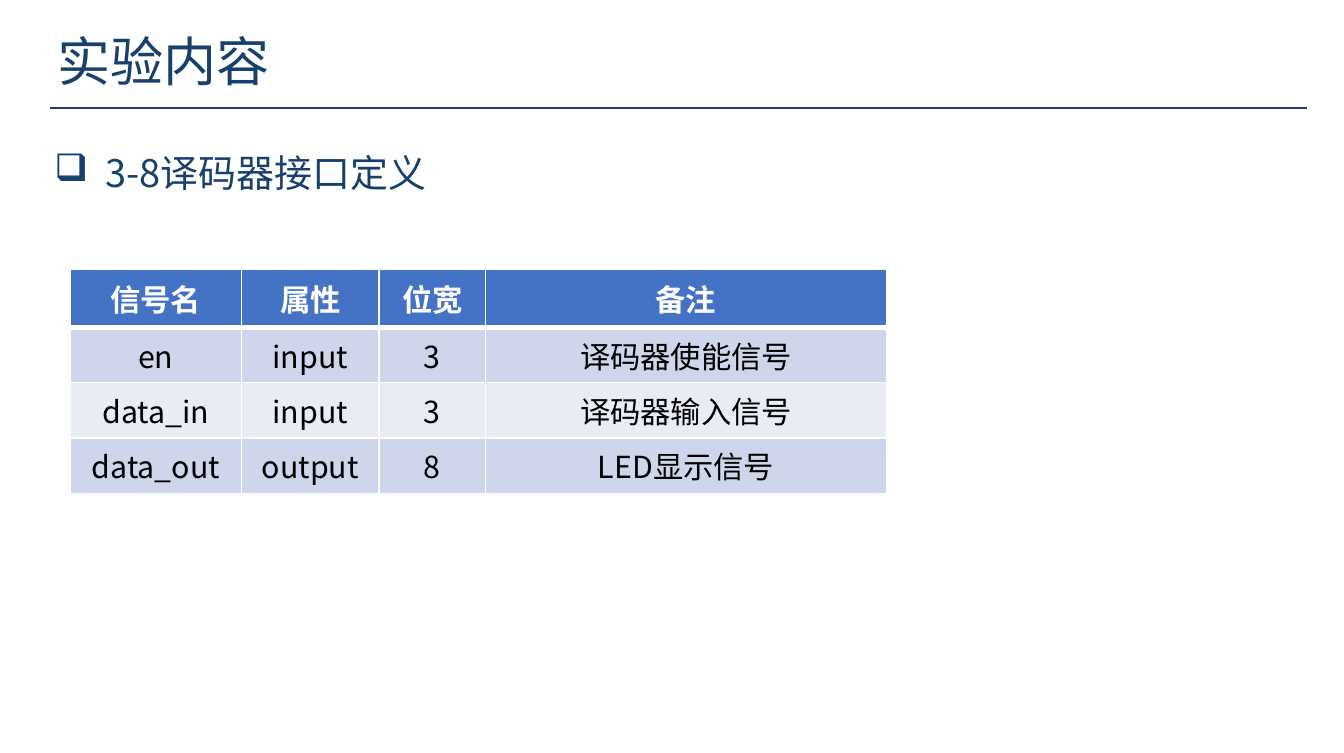
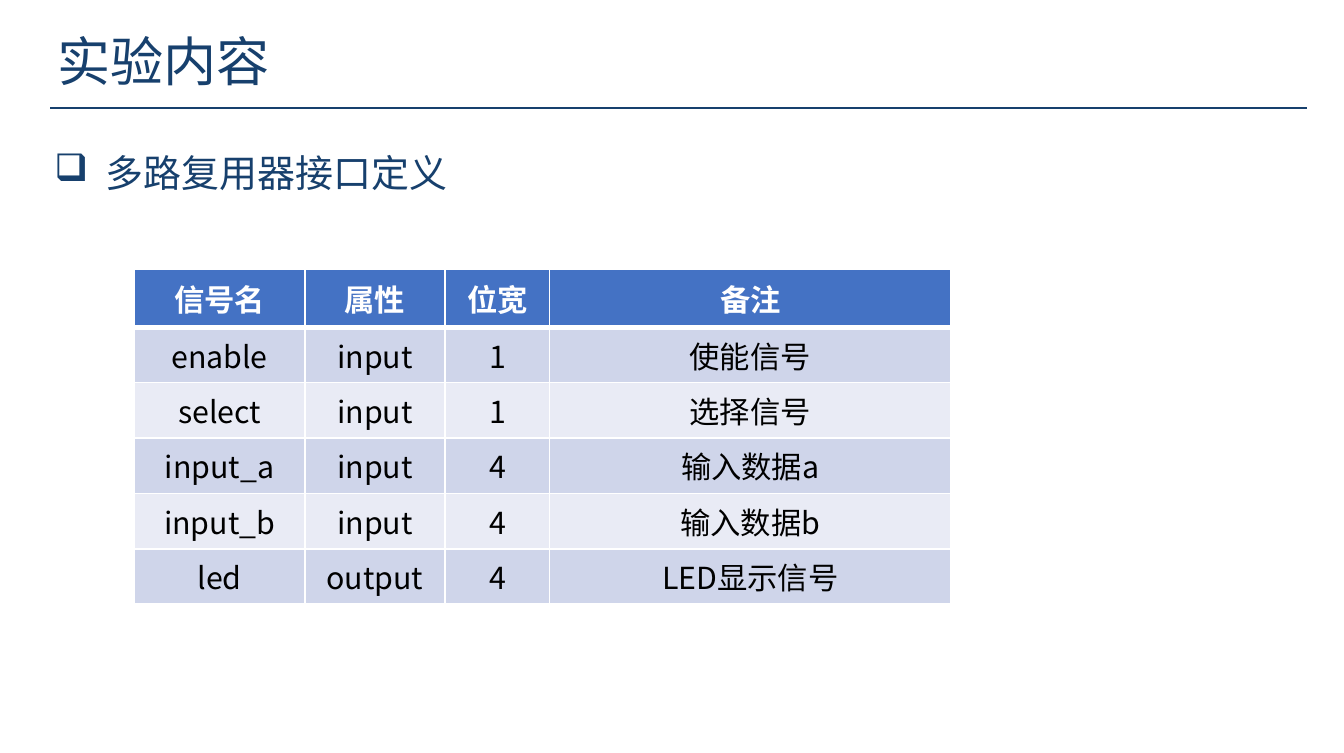
from lxml import etree
from pptx import Presentation
from pptx.dml.color import RGBColor
from pptx.enum.shapes import MSO_CONNECTOR
from pptx.enum.text import MSO_ANCHOR, MSO_AUTO_SIZE, PP_ALIGN
from pptx.oxml.ns import qn
from pptx.util import Pt

STRAIGHT = MSO_CONNECTOR.STRAIGHT
MIDDLE = MSO_ANCHOR.MIDDLE
FIT_SHAPE = MSO_AUTO_SIZE.SHAPE_TO_FIT_TEXT
LEFT, CENTER = PP_ALIGN.LEFT, PP_ALIGN.CENTER

FONT = "Noto Sans CJK SC"
COLORS = {
    "navy": "17406D",
    "header": "4472C4",
    "band_dark": "CFD5EA",
    "band_light": "E9EBF5",
    "white": "FFFFFF",
    "black": "000000",
}


def rgb(name):
    return RGBColor.from_string(COLORS[name])


def put_text(tf, text, size=16, color="navy", bold=False, align=LEFT,
             spacing=None, bullet=None, indent=0):
    p = tf.paragraphs[0]
    p.alignment = align
    if spacing:
        p.line_spacing = spacing
    if bullet:
        pPr = p._p.get_or_add_pPr()
        pPr.set("marL", str(Pt(indent)))
        pPr.set("indent", str(-Pt(indent)))
        etree.SubElement(pPr, qn("a:buChar"), char=bullet)
    r = p.add_run()
    r.text = text
    r.font.size = Pt(size)
    r.font.bold = bold
    r.font.color.rgb = rgb(color)
    r.font.name = FONT
    etree.SubElement(r._r.get_or_add_rPr(), qn("a:ea"), typeface=FONT)


class Deck:
    def __init__(self, width, height):
        self.prs = Presentation()
        self.prs.slide_width, self.prs.slide_height = Pt(width), Pt(height)
        self.s = None

    def slide(self, title, heading):
        self.s = self.prs.slides.add_slide(self.prs.slide_layouts[6])
        self.rule(26.6, 689, 57)
        self.text(23, 11.5, 167, 41, title, size=28)
        self.text(21.6, 63.4, 354, 43, heading, size=20,
                  spacing=1.5, bullet="❑", indent=27)

    def rule(self, x1, x2, y):
        line = self.s.shapes.add_connector(STRAIGHT, Pt(x1), Pt(y), Pt(x2), Pt(y))
        line.line.color.rgb = rgb("navy")
        line.line.width = Pt(1)
        etree.SubElement(line._element.spPr, qn("a:effectLst"))

    def text(self, x, y, w, h, text, **style):
        sp = self.s.shapes.add_textbox(Pt(x), Pt(y), Pt(w), Pt(h))
        tf = sp.text_frame
        tf.word_wrap = True
        tf.auto_size = FIT_SHAPE
        put_text(tf, text, **style)

    def table(self, x, y, widths, rows, header_height=30.4, row_height=29.2):
        heights = [header_height] + [row_height] * (len(rows) - 1)
        frame = self.s.shapes.add_table(len(rows), len(widths), Pt(x), Pt(y),
                                        Pt(sum(widths)), Pt(sum(heights)))
        table = frame.table
        table.horz_banding = False
        for column, width in zip(table.columns, widths):
            column.width = Pt(width)
        for i, (height, row) in enumerate(zip(heights, rows)):
            table.rows[i].height = Pt(height)
            for j, text in enumerate(row):
                self.cell(table.cell(i, j), text, i)

    def cell(self, cell, text, row):
        header = row == 0
        cell.vertical_anchor = MIDDLE
        cell.margin_top = cell.margin_bottom = Pt(3)
        self.border(cell, "L", 1)
        self.border(cell, "R", 1)
        self.border(cell, "T", 3 if row == 1 else 1)
        self.border(cell, "B", 3 if header else 1)
        band = "band_dark" if row % 2 else "band_light"
        cell.fill.solid()
        cell.fill.fore_color.rgb = rgb("header" if header else band)
        put_text(cell.text_frame, text, bold=header, align=CENTER,
                 color="white" if header else "black")

    def border(self, cell, side, width):
        tcPr = cell._tc.get_or_add_tcPr()
        ln = etree.SubElement(tcPr, qn(f"a:ln{side}"), w=str(Pt(width)))
        fill = etree.SubElement(ln, qn("a:solidFill"))
        etree.SubElement(fill, qn("a:srgbClr"), val=COLORS["white"])


def main():
    title = "实验内容"
    header = ("信号名", "属性", "位宽", "备注")
    deck = Deck(708.5, 396.8)

    deck.slide(title, "3-8译码器接口定义")
    deck.table(37, 142, (90.3, 72.6, 56, 211.6), [
        header,
        ("en", "input", "3", "译码器使能信号"),
        ("data_in", "input", "3", "译码器输入信号"),
        ("data_out", "output", "8", "LED显示信号"),
    ])

    deck.slide(title, "多路复用器接口定义")
    deck.table(70.9, 142, (89.8, 74, 55.1, 211.6), [
        header,
        ("enable", "input", "1", "使能信号"),
        ("select", "input", "1", "选择信号"),
        ("input_a", "input", "4", "输入数据a"),
        ("input_b", "input", "4", "输入数据b"),
        ("led", "output", "4", "LED显示信号"),
    ])

    deck.prs.save("out.pptx")


if __name__ == "__main__":
    main()
